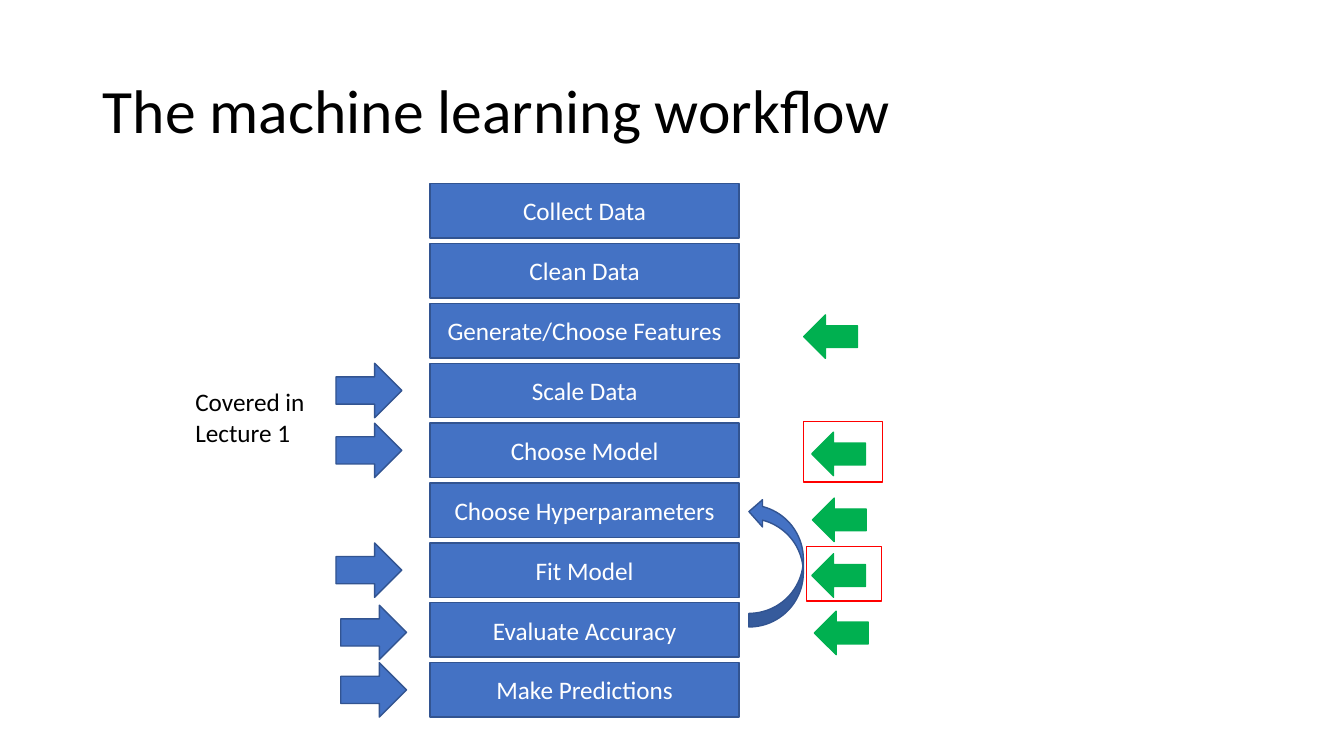
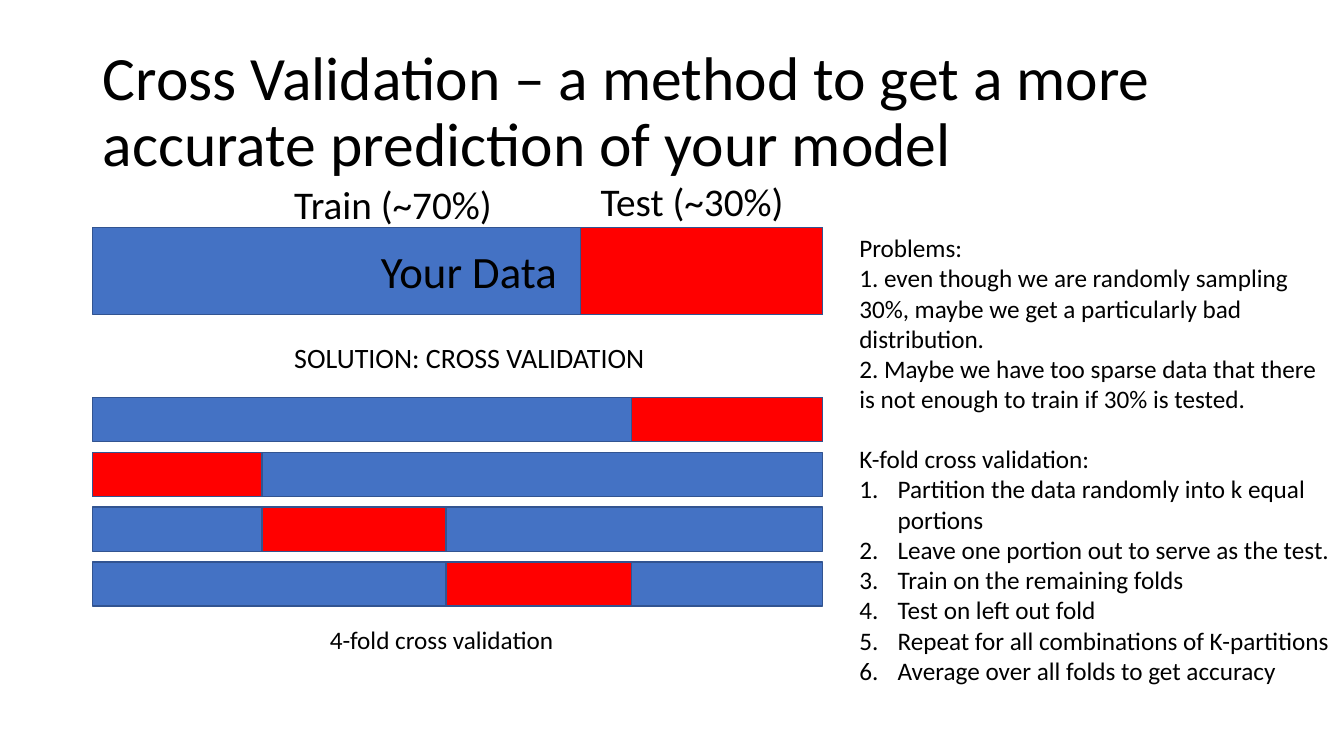
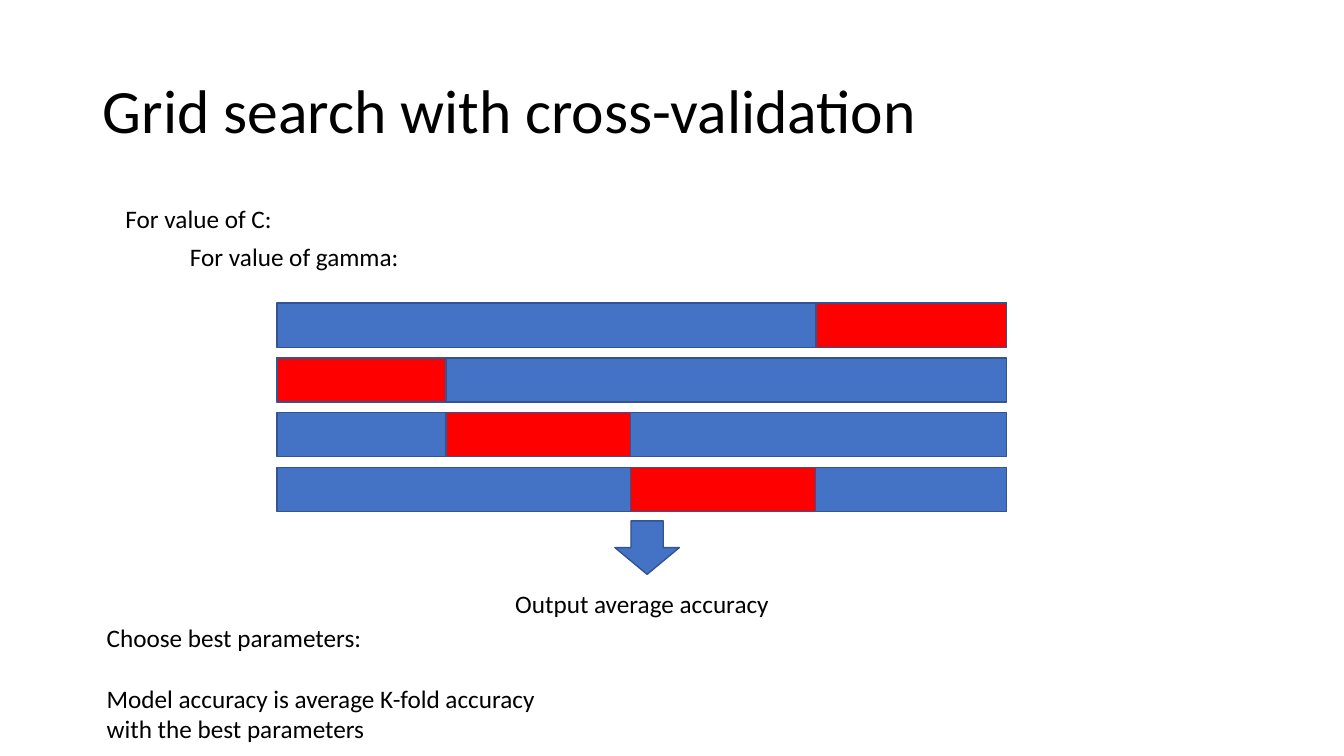
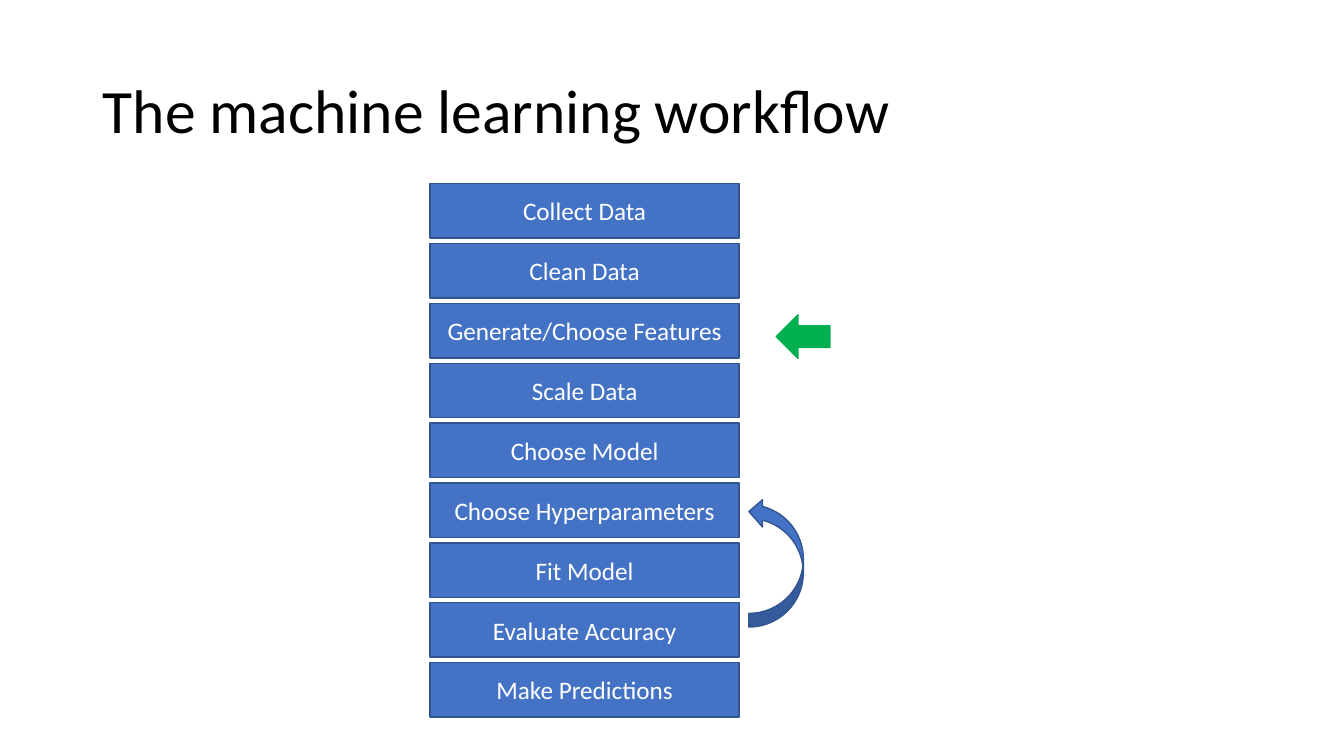
import dataclasses
import typing

import pptx
import pptx.dml.color
import pptx.enum.shapes
import pptx.enum.text
import pptx.oxml
import pptx.oxml.ns
import pptx.util

# Shared colours and type
BLUE = pptx.dml.color.RGBColor(0x44, 0x72, 0xC4)
NAVY = pptx.dml.color.RGBColor(0x32, 0x54, 0x91)
GREEN = pptx.dml.color.RGBColor(0x00, 0xB0, 0x50)
RED = pptx.dml.color.RGBColor(0xFF, 0x00, 0x00)
BLACK = pptx.dml.color.RGBColor(0x00, 0x00, 0x00)
WHITE = pptx.dml.color.RGBColor(0xFF, 0xFF, 0xFF)
FONT = "Calibri"

GEOMETRY = pptx.enum.shapes.MSO_SHAPE
ANCHOR = pptx.enum.text.MSO_ANCHOR
ALIGN = pptx.enum.text.PP_ALIGN
AUTOSIZE = pptx.enum.text.MSO_AUTO_SIZE

SLIDE_WIDTH = pptx.util.Inches(13.333)
SLIDE_HEIGHT = pptx.util.Inches(7.5)
TITLE_ONLY = 5


@dataclasses.dataclass(frozen=True)
class Box:
    """A place on the slide, in percent of its width and height."""

    left: float
    top: float
    width: float
    height: float

    def lengths(self) -> tuple[int, int, int, int]:
        return (
            round(SLIDE_WIDTH * self.left / 100),
            round(SLIDE_HEIGHT * self.top / 100),
            round(SLIDE_WIDTH * self.width / 100),
            round(SLIDE_HEIGHT * self.height / 100),
        )


@dataclasses.dataclass(frozen=True)
class Note:
    """Free text; lines from numbered_from onwards form a numbered list."""

    box: Box
    lines: tuple[str, ...]
    size: float = 18
    wrap: bool = True
    numbered_from: typing.Optional[int] = None
    gap: float = 0


@dataclasses.dataclass(frozen=True)
class Marker:
    """An arrow or frame beside the workflow, placed at a row of the steps."""

    row: float
    left: float


# Workflow grid: one row for each step
STEPS = (
    "Collect Data",
    "Clean Data",
    "Generate/Choose Features",
    "Scale Data",
    "Choose Model",
    "Choose Hyperparameters",
    "Fit Model",
    "Evaluate Accuracy",
    "Make Predictions",
)
STEP_LEFT, STEP_TOP, STEP_WIDTH, STEP_HEIGHT = 32, 24.3, 23, 7.2
STEP_PITCH = 7.92

# Fold grid: edges of the four portions, and the tested portion in each row
FOLD_EDGES = (0, 12.6, 26.3, 40.1, 54.3)
TESTED_PORTIONS = (3, 0, 1, 2)
FOLD_HEIGHT, FOLD_PITCH = 5.85, 7.24


def format_text(paragraph, size: float, color, **layout) -> None:
    for name, value in layout.items():
        setattr(paragraph, name, value)
    styles = {"name": FONT, "size": pptx.util.Pt(size), "bold": False}
    for name, value in styles.items():
        setattr(paragraph.font, name, value)
    paragraph.font.color.rgb = color


def add_titled_slide(deck, heading: str):
    slide = deck.slides.add_slide(deck.slide_layouts[TITLE_ONLY])
    title = slide.shapes.title
    places = zip(("left", "top", "width", "height"), Box(6.9, 5.33, 86.25, 19.33).lengths())
    for name, value in places:
        setattr(title, name, value)
    frame = title.text_frame
    frame.text = heading
    settings = {"word_wrap": True, "auto_size": AUTOSIZE.NONE, "vertical_anchor": ANCHOR.MIDDLE}
    for name, value in settings.items():
        setattr(frame, name, value)
    format_text(frame.paragraphs[0], 44, BLACK, alignment=ALIGN.LEFT, line_spacing=0.9)
    return slide


def add_figure(slide, geometry, box: Box, fill=BLUE, line=NAVY, text: str = "", rotation: float = 0) -> None:
    figure = slide.shapes.add_shape(geometry, *box.lengths())
    figure.shadow.inherit = False
    figure.rotation = rotation
    if fill is None:
        figure.fill.background()
    else:
        figure.fill.solid()
        figure.fill.fore_color.rgb = fill
    figure.line.color.rgb = line
    figure.line.width = pptx.util.Pt(1)
    if text:
        figure.text_frame.text = text
        figure.text_frame.vertical_anchor = ANCHOR.MIDDLE
        format_text(figure.text_frame.paragraphs[0], 18, WHITE, alignment=ALIGN.CENTER)


def number_paragraph(paragraph) -> None:
    properties = paragraph._p.get_or_add_pPr()
    indent = pptx.util.Inches(0.38)
    properties.set("marL", str(indent))
    properties.set("indent", str(-indent))
    numbering = pptx.oxml.parse_xml(
        f'<a:buAutoNum {pptx.oxml.ns.nsdecls("a")} type="arabicPeriod"/>'
    )
    properties.insert_element_before(numbering, "a:tabLst", "a:defRPr", "a:extLst")


def add_note(slide, note: Note) -> None:
    frame = slide.shapes.add_textbox(*note.box.lengths()).text_frame
    frame.word_wrap = note.wrap
    frame.auto_size = AUTOSIZE.SHAPE_TO_FIT_TEXT
    for index, line in enumerate(note.lines):
        paragraph = frame.paragraphs[0] if index == 0 else frame.add_paragraph()
        paragraph.text = line
        format_text(paragraph, note.size, BLACK)
        if index and note.gap:
            paragraph.space_before = pptx.util.Pt(note.gap)
        if note.numbered_from is not None and index >= note.numbered_from:
            number_paragraph(paragraph)


def row_top(row: float) -> float:
    return STEP_TOP + row * STEP_PITCH


def add_workflow(slide) -> None:
    for row, step in enumerate(STEPS):
        box = Box(STEP_LEFT, row_top(row), STEP_WIDTH, STEP_HEIGHT)
        add_figure(slide, GEOMETRY.RECTANGLE, box, text=step)
    # Loop from evaluation back to the hyperparameters
    add_figure(slide, GEOMETRY.CURVED_UP_ARROW, Box(52.95, 70.8, 9.6, 7.2), rotation=270)


def add_green_arrow(slide, marker: Marker) -> None:
    box = Box(marker.left, row_top(marker.row), 4, 5.75)
    add_figure(slide, GEOMETRY.RIGHT_ARROW, box, GREEN, GREEN, rotation=180)


def add_folds(slide, left: float, top: float) -> None:
    for row, portion in enumerate(TESTED_PORTIONS):
        y = top + row * FOLD_PITCH
        start, end = FOLD_EDGES[portion:portion + 2]
        add_figure(slide, GEOMETRY.RECTANGLE, Box(left, y, FOLD_EDGES[-1], FOLD_HEIGHT))
        add_figure(slide, GEOMETRY.RECTANGLE, Box(left + start, y, end - start, FOLD_HEIGHT), RED)


def build_lecture_workflow(deck) -> None:
    slide = add_titled_slide(deck, "The machine learning workflow")
    add_workflow(slide)
    # Steps covered before
    covered = (Marker(3, 25), Marker(4, 25), Marker(6, 25), Marker(7.04, 25.35), Marker(8, 25.35))
    for marker in covered:
        add_figure(slide, GEOMETRY.RIGHT_ARROW, Box(marker.left, row_top(marker.row), 4.9, STEP_HEIGHT))
    add_note(slide, Note(Box(13.8, 50.5, 13.7, 9.4), ("Covered in Lecture 1",)))
    # Steps of this lecture, two of them framed
    current = (
        Marker(2.19, 59.8), Marker(4.15, 60.4), Marker(5.25, 60.45),
        Marker(6.18, 60.4), Marker(7.14, 60.6),
    )
    for marker in current:
        add_green_arrow(slide, marker)
    for frame in (Box(59.8, row_top(3.97), 5.85, 8), Box(60, row_top(6.06), 5.6, 7.2)):
        add_figure(slide, GEOMETRY.RECTANGLE, frame, None, RED)


def build_cross_validation(deck) -> None:
    slide = add_titled_slide(
        deck, "Cross Validation – a method to get a more accurate prediction of your model"
    )
    # Single split, with the caption under the test share
    add_figure(slide, GEOMETRY.RECTANGLE, Box(6.9, 30.1, 54.3, 11.5))
    add_note(slide, Note(Box(27.6, 31.6, 20.85, 8.5), ("Your Data",), 32))
    add_figure(slide, GEOMETRY.RECTANGLE, Box(43.2, 30.1, 18, 11.5), RED)
    add_folds(slide, 6.9, 52.6)
    notes = (
        Note(Box(43.95, 22.8, 16.35, 7.6), ("Test (~30%)",), 28),
        Note(Box(21.15, 23.2, 17.1, 7.6), ("Train (~70%)",), 28),
        Note(Box(21.15, 44.4, 38.5, 5.9), ("SOLUTION: CROSS VALIDATION",), 20),
        Note(Box(23.8, 81.9, 28.9, 5.3), ("4-fold cross validation",)),
        Note(
            Box(63.2, 30.1, 36.75, 25.6),
            (
                "Problems:",
                "1. even though we are randomly sampling 30%, maybe we get a particularly bad distribution.",
                "2. Maybe we have too sparse data that there is not enough to train if 30% is tested.",
            ),
        ),
        Note(
            Box(63.2, 58, 36.75, 33.6),
            (
                "K-fold cross validation:",
                "Partition the data randomly into k equal portions",
                "Leave one portion out to serve as the test.",
                "Train on the remaining folds",
                "Test on left out fold",
                "Repeat for all combinations of K-partitions",
                "Average over all folds to get accuracy",
            ),
            numbered_from=1,
        ),
    )
    for note in notes:
        add_note(slide, note)


def build_grid_search(deck) -> None:
    slide = add_titled_slide(deck, "Grid search with cross-validation")
    add_folds(slide, 20.6, 40.1)
    add_figure(slide, GEOMETRY.DOWN_ARROW, Box(45.75, 68.9, 4.8, 7.07))
    notes = (
        Note(Box(8.6, 26.3, 12.5, 5.3), ("For value of C:",), wrap=False),
        Note(Box(13.4, 31.2, 17.25, 5.3), ("For value of gamma:",), wrap=False),
        Note(Box(37.6, 77.1, 21.1, 5.3), ("Output average accuracy",)),
        Note(
            Box(7.2, 81.6, 36.4, 17.5),
            (
                "Choose best parameters:",
                "Model accuracy is average K-fold accuracy with the best parameters",
            ),
            gap=22,
        ),
    )
    for note in notes:
        add_note(slide, note)


def build_next_workflow(deck) -> None:
    slide = add_titled_slide(deck, "The machine learning workflow")
    add_workflow(slide)
    add_green_arrow(slide, Marker(2.19, 57.75))


def main() -> None:
    deck = pptx.Presentation()
    deck.slide_width, deck.slide_height = SLIDE_WIDTH, SLIDE_HEIGHT
    for build in (build_lecture_workflow, build_cross_validation, build_grid_search, build_next_workflow):
        build(deck)
    deck.save("out.pptx")


if __name__ == "__main__":
    main()
